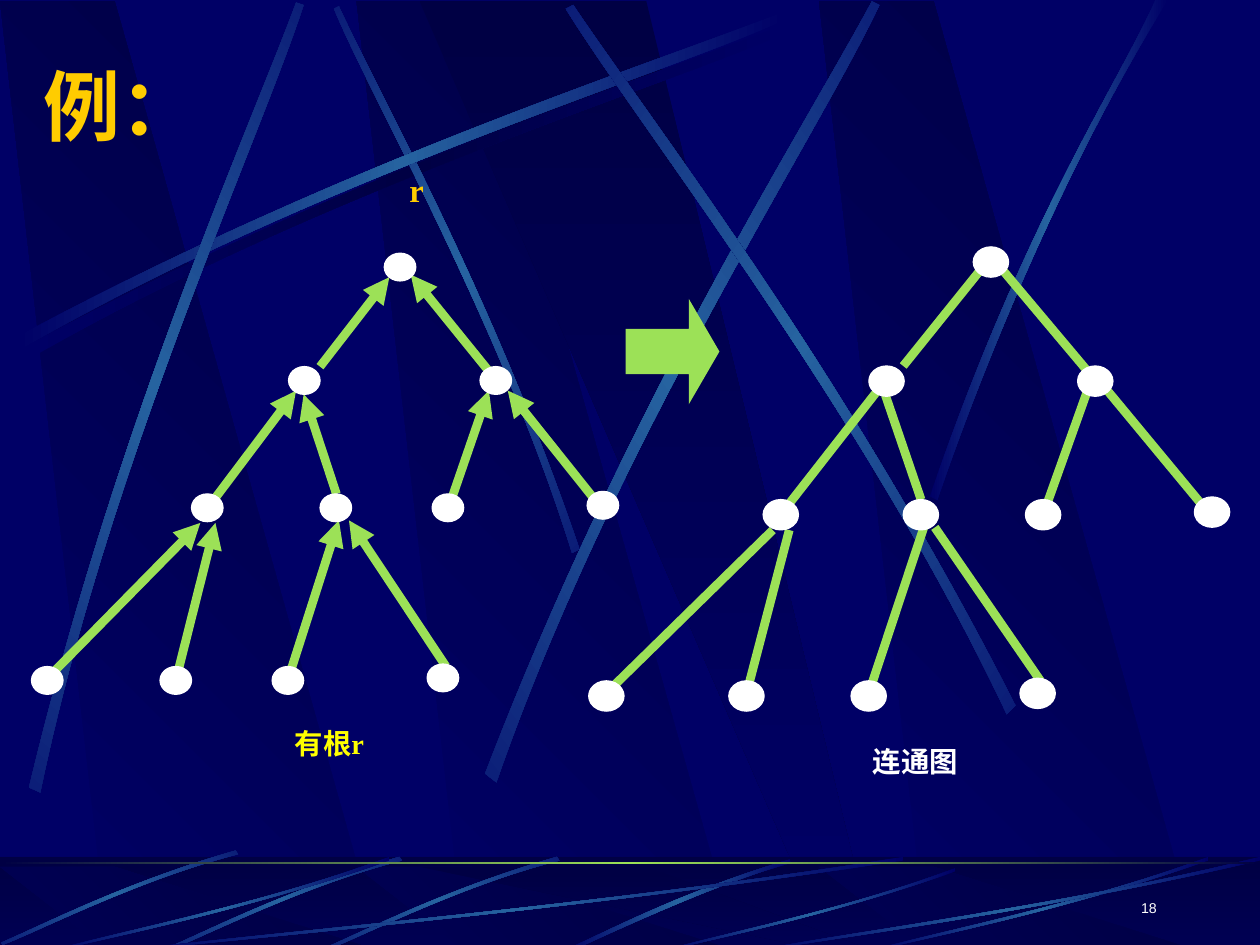
import math
from lxml import etree
from pptx import Presentation
from pptx import util as u
from pptx.dml.color import RGBColor
from pptx.enum import shapes, text
from pptx.oxml import ns

COLORS = {"navy": "000066", "dark": "000044", "steel": "2663A0", "green": "9CE157",
          "white": "FFFFFF", "gold": "FFCC00", "yellow": "FFFF00"}
SHADE = ("navy", "dark")
RISE = ("dark", "navy")
GLOW = ("navy", "steel", "navy")

# Each streak is two cubic edges of four points each.
SHADOW_STREAK = [(0.2, 2.75), (2.84, 1.34), (5.24, 0.59), (6.26, 0.18),
                 (6.29, 0.24), (5.28, 0.69), (2.54, 1.51), (0.23, 2.85)]
SKY_STREAKS = [
    (45, [(4.6, 4.36), (3.91, 2.34), (3.02, 0.77), (2.69, 0.05),
          (2.65, 0.07), (2.95, 0.79), (3.98, 2.58), (4.54, 4.39)]),
    (0, [(x - 0.06, y - 0.08) for x, y in SHADOW_STREAK]),
    (311.7, [(0.23, 6.25), (0.93, 3.34), (1.97, 1.05), (2.35, 0.02),
             (2.41, 0.04), (2.07, 1.09), (0.86, 3.68), (0.32, 6.29)]),
    (321.6, [(3.85, 6.14), (4.98, 3.2), (6.38, 1.02), (6.92, 0.01),
             (6.98, 0.04), (6.49, 1.08), (4.86, 3.55), (3.94, 6.21)]),
    (34.7, [(8.06, 5.6), (6.7, 2.93), (5.16, 0.95), (4.55, 0.04),
            (4.49, 0.07), (5.07, 1.01), (6.85, 3.25), (7.99, 5.67)]),
    (0, [(7.38, 3.94), (8.14, 1.73), (8.88, 0.66), (9.17, 0),
         (9.27, 0), (8.36, 1.45), (7.69, 3.22), (7.44, 3.97)]),
]
WIDE_STREAK = [(6.27, 6.82), (5.37, 7.09), (4.77, 7.42), (4.48, 7.54),
               (4.53, 7.55), (4.9, 7.38), (5.71, 7), (6.28, 6.85)]
SHORT_STREAK = [(3.17, 6.8), (2.3, 7.05), (1.62, 7.4), (1.31, 7.53),
                (1.32, 7.55), (1.63, 7.43), (2.4, 7.03), (3.19, 6.83)]
# Fractions of the box that holds the streak.
LONG_STREAK = [(1, 0.04), (0.57, 0.57), (0.17, 0.85), (0, 1),
               (0, 0.99), (0.17, 0.81), (0.62, 0.51), (1, 0)]
LONG_STREAK_BOXES = [(1, 6.8, 6.17, 0.75), (0.42, 6.8, 2.67, 0.75), (5.27, 6.89, 2.31, 0.66),
                     (6.92, 6.8, 2.67, 0.75), (6, 6.8, 4, 0.75)]

NODES = [(3.05, 2.01), (2.29, 2.91), (3.81, 2.91), (1.52, 3.92), (3.43, 3.92), (2.54, 3.92),
         (4.66, 3.9), (0.25, 5.29), (2.16, 5.29), (1.27, 5.29), (3.39, 5.27)]
# Child end, then parent end.
EDGES = [((2.54, 2.91), (3.09, 2.2)), ((3.94, 3.02), (3.26, 2.18)),
         ((1.65, 4.03), (2.35, 3.1)), ((2.67, 3.92), (2.41, 3.13)),
         ((4.7, 3.94), (4.03, 3.1)), ((3.56, 4.03), (3.88, 3.1)),
         ((0.38, 5.38), (1.59, 4.15)), ((1.4, 5.38), (1.71, 4.15)),
         ((2.29, 5.38), (2.69, 4.13)), ((3.54, 5.29), (2.77, 4.13))]


def rotate(x, y, degrees):
    turn = math.radians(degrees)
    return (x * math.cos(turn) - y * math.sin(turn), x * math.sin(turn) + y * math.cos(turn))


class Painter:
    def __init__(self, page):
        self.page = page

    def color(self, name):
        return RGBColor.from_string(COLORS[name])

    def gradient(self, shape, names, angle):
        shape.shadow.inherit = False
        shape.line.fill.background()
        shape.fill.gradient()
        stops = shape.element.spPr.find(".//" + ns.qn("a:gsLst"))
        for stop in list(stops):
            stops.remove(stop)
        for index, name in enumerate(names):
            stop = etree.SubElement(stops, ns.qn("a:gs"), pos=str(index * 100000 // (len(names) - 1)))
            etree.SubElement(stop, ns.qn("a:srgbClr"), val=COLORS[name])
        shape.element.spPr.find(".//" + ns.qn("a:lin")).set("ang", str(angle * 60000))

    def outline(self, points, names, angle, rotation=0):
        """Draw a closed outline whose gradient turns with the given rotation."""
        level = [rotate(x, y, -rotation) for x, y in points]
        points = [(u.Inches(x), u.Inches(y)) for x, y in level]
        builder = self.page.shapes.build_freeform(*points[0], scale=1.0)
        builder.add_line_segments(points[1:], close=True)
        shape = builder.convert_to_shape()
        x, y = rotate(shape.left + shape.width / 2, shape.top + shape.height / 2, rotation)
        shape.left, shape.top = int(x - shape.width / 2), int(y - shape.height / 2)
        shape.rotation = rotation
        self.gradient(shape, names, angle)
        return shape

    def beams(self, top, bottom):
        for left in (2.83, 0, 6.5):
            self.outline([(left + 0.86, bottom), (left + 3.02, bottom), (left + 0.91, top),
                          (left, top)], SHADE, 315)
        self.outline([(3.33, top), (6.58, bottom), (6.94, bottom), (5.13, top)], RISE, 90)

    def streak(self, points, rotation=0, names=GLOW):
        shape = self.outline(points, names, 0, rotation)
        sides = list(shape.element.spPr.iter(ns.qn("a:lnTo")))
        for edge in (sides[:3], sides[4:7]):
            curve = etree.Element(ns.qn("a:cubicBezTo"))
            edge[0].addprevious(curve)
            for side in edge:
                curve.append(side[0])
                side.getparent().remove(side)

    def shape(self, kind, box, fill, line_width=None):
        shape = self.page.shapes.add_shape(kind, *map(u.Inches, box))
        shape.shadow.inherit = False
        shape.fill.solid()
        shape.fill.fore_color.rgb = self.color(fill)
        if line_width:
            shape.line.color.rgb = self.color(fill)
            shape.line.width = u.Pt(line_width)
            etree.SubElement(shape.element.spPr.find(ns.qn("a:ln")), ns.qn("a:miter"), lim="800000")
        else:
            shape.line.fill.background()
        return shape

    def edge(self, start, end, arrow):
        line = self.page.shapes.add_connector(shapes.MSO_CONNECTOR.STRAIGHT, *map(u.Inches, (*start, *end)))
        line.line.color.rgb = self.color("green")
        line.line.width = u.Pt(5)
        if arrow:
            etree.SubElement(line.element.spPr.find(ns.qn("a:ln")), ns.qn("a:tailEnd"), type="triangle")
        etree.SubElement(line.element.spPr, ns.qn("a:effectLst"))

    def tree(self, place, node_size, arrows):
        for child, parent in EDGES:
            self.edge(place(*child), place(*parent), arrows)
        for node in NODES:
            self.shape(shapes.MSO_SHAPE.OVAL, (*place(*node), *node_size), "white", 0.75)

    def label(self, box, runs, size, color, bold=True, raised=True, wrap=True,
              anchor=text.MSO_ANCHOR.TOP, align=text.PP_ALIGN.LEFT):
        """Add one line of text from (words, font) runs; raised sets it as superscript."""
        frame = self.page.shapes.add_textbox(*map(u.Inches, box)).text_frame
        frame.word_wrap = wrap
        frame.vertical_anchor = anchor
        para = frame.paragraphs[0]
        para.alignment = align
        for words, font in runs:
            span = para.add_run()
            span.text = words
            span.font.size = u.Pt(size)
            span.font.bold = bold
            span.font.color.rgb = self.color(color)
            span.font.name = font
            style = span.font._element
            etree.SubElement(style, ns.qn("a:ea"), typeface=font)
            if raised:
                style.set("baseline", "30000")


def draw_background(painter, master):
    """Draw the scenery, then hand it over to the slide master."""
    fill = master.background.fill
    fill.solid()
    fill.fore_color.rgb = painter.color("navy")
    painter.beams(0.01, 7.52)
    painter.streak(SHADOW_STREAK, names=("navy", "dark", "navy"))
    for rotation, points in SKY_STREAKS:
        painter.streak(points, rotation)
    rect, floor = shapes.MSO_SHAPE.RECTANGLE, (0, 6.8, 10, 0.75)
    painter.gradient(painter.shape(rect, floor, "dark"), RISE, 90)
    painter.beams(6.88, 7.55)
    veil = painter.shape(rect, floor, "dark")
    etree.SubElement(veil.element.spPr.find(".//" + ns.qn("a:srgbClr")), ns.qn("a:alpha"), val="50000")
    painter.streak(WIDE_STREAK)
    for dx, dy in ((1.25, 0), (0, 0), (-1.3, -0.05)):
        painter.streak([(x + dx, y + dy) for x, y in SHORT_STREAK], 315)
    for left, top, width, height in LONG_STREAK_BOXES:
        painter.streak([(left + x * width, top + y * height) for x, y in LONG_STREAK])
    painter.gradient(painter.shape(rect, (0, 6.84, 10, 0.02), "green"), ("dark", "green", "dark"), 0)
    for number, shape in enumerate(list(painter.page.shapes), 100):
        shape.element.find(".//" + ns.qn("p:cNvPr")).set("id", str(number))
        master.shapes.element.append(shape.element)


def main():
    deck = Presentation()
    deck.slide_width, deck.slide_height = u.Inches(10), u.Inches(7.5)
    painter = Painter(deck.slides.add_slide(deck.slide_layouts[6]))
    draw_background(painter, deck.slide_master)
    cjk, serif = "Noto Sans CJK SC", "Times New Roman"
    painter.label((0.25, 0.42, 8.5, 0.83), [("例：", "Montserrat")], 44, "gold", raised=False,
                  anchor=text.MSO_ANCHOR.MIDDLE)
    painter.tree(lambda x, y: (x, y), (0.25, 0.22), True)
    painter.label((3.15, 1.25, 0.4, 0.63), [("r", serif)], 32, "gold", wrap=False)
    painter.label((2.24, 5.67, 1.38, 0.57), [("有根", cjk), ("r", serif)], 28, "yellow")
    painter.tree(lambda x, y: (4.4 + x * 1.09, 1.96 + (y - 2.01) * 1.05), (0.28, 0.24), False)
    painter.label((6.83, 5.81, 1.5, 0.57), [("连通图", cjk)], 28, "white")
    arrow = painter.shape(shapes.MSO_SHAPE.RIGHT_ARROW, (5, 2.5, 0.67, 0.58), "green", 5)
    arrow.adjustments[1] = 0.29
    painter.label((7.2, 6.9, 2.08, 0.5), [("18", "Arial")], 14, "white", bold=False,
                  anchor=text.MSO_ANCHOR.BOTTOM, align=text.PP_ALIGN.RIGHT)
    deck.save("out.pptx")


if __name__ == "__main__":
    main()
